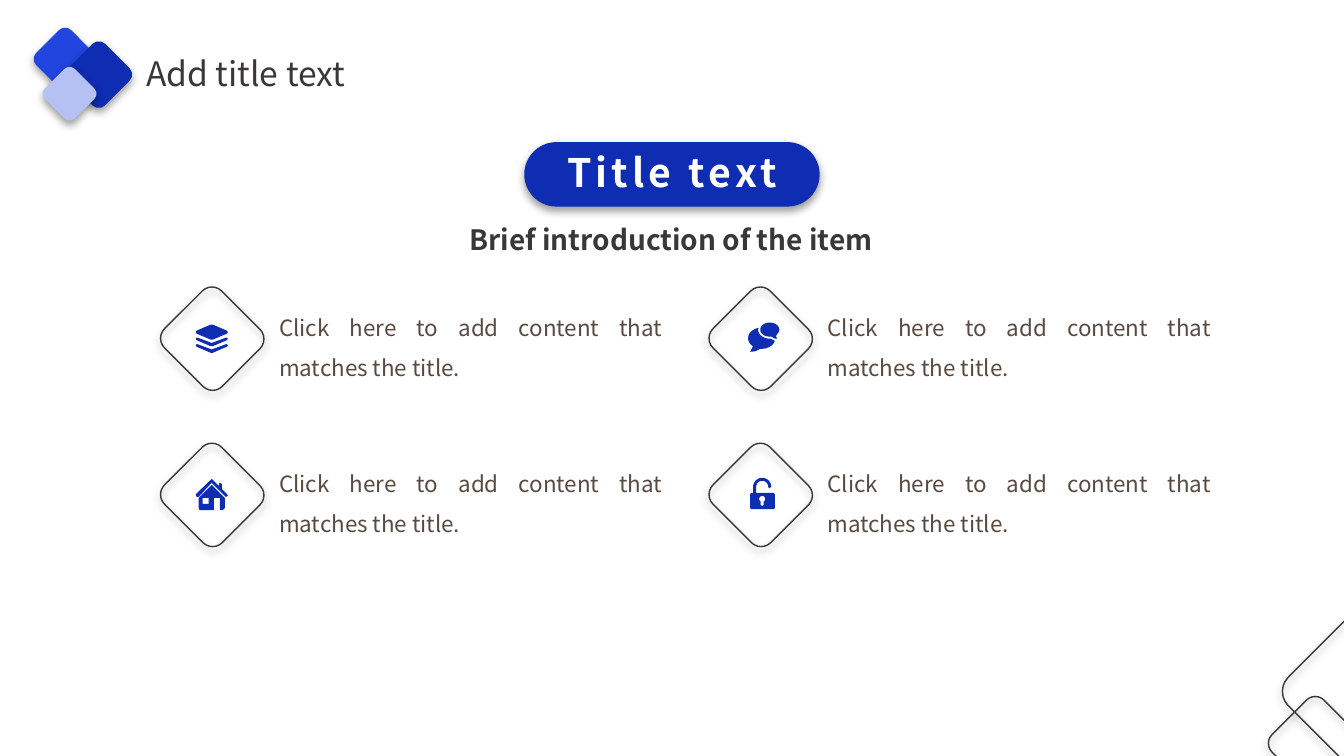
import math

import lxml.etree
import pptx
import pptx.dml.color
import pptx.enum.shapes
import pptx.enum.text
import pptx.oxml.ns
import pptx.util

Inches = pptx.util.Inches
Pt = pptx.util.Pt
qn = pptx.oxml.ns.qn
ALIGN = pptx.enum.text.PP_ALIGN
BLUE, INK, BROWN, WHITE = "0E2DB2", "393737", "594A42", "FFFFFF"
FONT = "Noto Sans CJK SC"


def rgb(value):
    return pptx.dml.color.RGBColor.from_string(value)


def arc(center_x, center_y, radius_x, radius_y, start, end, steps=24):
    angles = [math.radians(start + (end - start) * i / steps) for i in range(steps + 1)]
    return [(round(center_x + radius_x * math.cos(a)), round(center_y + radius_y * math.sin(a)))
            for a in angles]


def write(box, text, size=16, color=INK, bold=False, align=ALIGN.LEFT,
          spacing=1.0, tracking=0, wrap=False):
    frame = box.text_frame
    frame.word_wrap = wrap
    frame.auto_size = pptx.enum.text.MSO_AUTO_SIZE.SHAPE_TO_FIT_TEXT
    frame.vertical_anchor = pptx.enum.text.MSO_ANCHOR.TOP
    para = frame.paragraphs[0]
    para.alignment = align
    para.line_spacing = spacing
    span = para.add_run()
    span.text = text
    span.font.name = FONT
    span.font.size = Pt(size)
    span.font.bold = bold
    span.font.color.rgb = rgb(color)
    if tracking:
        span.font._element.set("spc", str(tracking * 100))


class Page:
    def __init__(self, deck):
        self.slide = deck.slides.add_slide(deck.slide_layouts[5])
        self.shapes = self.slide.shapes

    def title(self, text, left, top, width, height):
        box = self.shapes.title
        box.left, box.top, box.width, box.height = map(Inches, (left, top, width, height))
        write(box, text, size=24)

    def text(self, text, left, top, width, height, **style):
        box = self.shapes.add_textbox(*map(Inches, (left, top, width, height)))
        write(box, text, **style)

    def rounded(self, left, top, width, height, fill=None, rotation=0, corner=0.17):
        shape = self.shapes.add_shape(pptx.enum.shapes.MSO_SHAPE.ROUNDED_RECTANGLE,
                                      *map(Inches, (left, top, width, height)))
        shape.rotation = rotation
        shape.adjustments[0] = corner
        if fill:
            shape.fill.solid()
            shape.fill.fore_color.rgb = rgb(fill)
            shape.line.fill.background()
        else:
            shape.fill.background()
            shape.line.color.rgb = rgb(INK)
            shape.line.width = Pt(1)
        self.cast_shadow(shape)

    def cast_shadow(self, shape):
        shape.shadow.inherit = False
        effects = shape._element.spPr.find(qn("a:effectLst"))
        shadow = lxml.etree.SubElement(effects, qn("a:outerShdw"), blurRad=str(Pt(6)),
                                       dist=str(Pt(3)), dir="5400000", algn="t", rotWithShape="0")
        color = lxml.etree.SubElement(shadow, qn("a:srgbClr"), val="000000")
        lxml.etree.SubElement(color, qn("a:alpha"), val="39000")

    def icon(self, left, top, outlines):
        builder = self.shapes.build_freeform(*outlines[0][0], scale=Inches(1) / 1000)
        for number, outline in enumerate(outlines):
            if number:
                builder.move_to(*outline[0])
            builder.add_line_segments(outline[1:], close=True)
        shape = builder.convert_to_shape(Inches(left), Inches(top))
        shape.fill.solid()
        shape.fill.fore_color.rgb = rgb(BLUE)
        shape.line.fill.background()
        shape.shadow.inherit = False


def layers_icon():
    sheet = [(0, 75), (10, 60), (150, 0), (170, 0), (310, 60), (320, 75),
             (310, 90), (170, 150), (150, 150), (10, 90)]
    band = [(0, 140), (10, 130), (20, 130), (160, 182), (300, 130), (310, 130),
            (320, 140), (310, 155), (170, 215), (150, 215), (10, 155)]
    return [sheet, band, [(x, y + 65) for x, y in band]]


def house_icon():
    roof = [(0, 155), (150, 10), (160, 0), (170, 10), (230, 70), (230, 50), (240, 40),
            (260, 50), (260, 100), (310, 150), (320, 170), (300, 180), (160, 40),
            (30, 180), (10, 180)]
    walls = [(160, 60), (290, 190), (290, 290), (270, 310), (240, 310), (240, 190),
             (180, 190), (180, 310), (40, 310), (30, 290), (30, 190)]
    window = [(70, 190), (130, 190), (130, 250), (70, 250)]
    return [roof, walls, window]


def chat_icon():
    front = arc(215, 70, 95, 70, 80, 400) + [(275, 135), (290, 160), (260, 158)]
    back = (arc(135, 155, 135, 105, 15, 95) + [(70, 285), (20, 290), (50, 230)]
            + arc(135, 155, 135, 105, 130, 258) + arc(215, 70, 115, 90, 185, 85))
    return [front, back]


def lock_icon():
    body = ([(10, 150), (30, 150)] + arc(120, 90, 90, 90, 180, 360) + [(190, 105), (180, 90)]
            + arc(120, 90, 60, 60, 360, 180)
            + [(60, 150), (235, 150), (245, 165), (245, 300), (235, 310),
               (10, 310), (0, 300), (0, 165)])
    keyhole = arc(120, 210, 30, 30, 120, 420) + [(135, 270), (120, 280), (105, 270)]
    return [body, keyhole]


def main():
    deck = pptx.Presentation()
    deck.slide_width, deck.slide_height = Inches(13.33), Inches(7.5)
    page = Page(deck)

    for left, top, side, fill in [(0.4, 0.34, 0.49, "2345DF"), (0.72, 0.48, 0.52, BLUE),
                                  (0.48, 0.72, 0.42, "B5C1F2")]:
        page.rounded(left, top, side, side, fill=fill, rotation=45)
    page.title("Add title text", 1.35, 0.47, 2.3, 0.5)
    for left, top, side in [(12.68, 7.01, 0.73), (12.88, 6.27, 1.18)]:
        page.rounded(left, top, side, side, rotation=45)

    page.rounded(5.2, 1.41, 2.93, 0.64, fill=BLUE, corner=0.5)
    page.text("Title text", 5.47, 1.42, 2.39, 0.57, size=28, color=WHITE, bold=True,
              align=ALIGN.CENTER, tracking=3)
    page.text("Brief introduction of the item", 4.56, 2.16, 4.36, 0.44, size=20, bold=True)

    items = [(layers_icon(), 0.24, 0.26), (chat_icon(), 0.28, 0.24),
             (house_icon(), 0.24, 0.24), (lock_icon(), 0.3, 0.23)]
    for number, (outlines, shift_x, shift_y) in enumerate(items):
        row, column = divmod(number, 2)
        left, top = 1.7 + 5.44 * column, 2.96 + 1.55 * row
        page.rounded(left, top, 0.81, 0.8, rotation=45)
        page.icon(left + shift_x, top + shift_y, outlines)
        page.text("Click here to add content that matches the title.", left + 0.97, top - 0.03,
                  4, 0.86, color=BROWN, align=ALIGN.JUSTIFY, spacing=1.5, wrap=True)

    deck.save("out.pptx")


if __name__ == "__main__":
    main()
